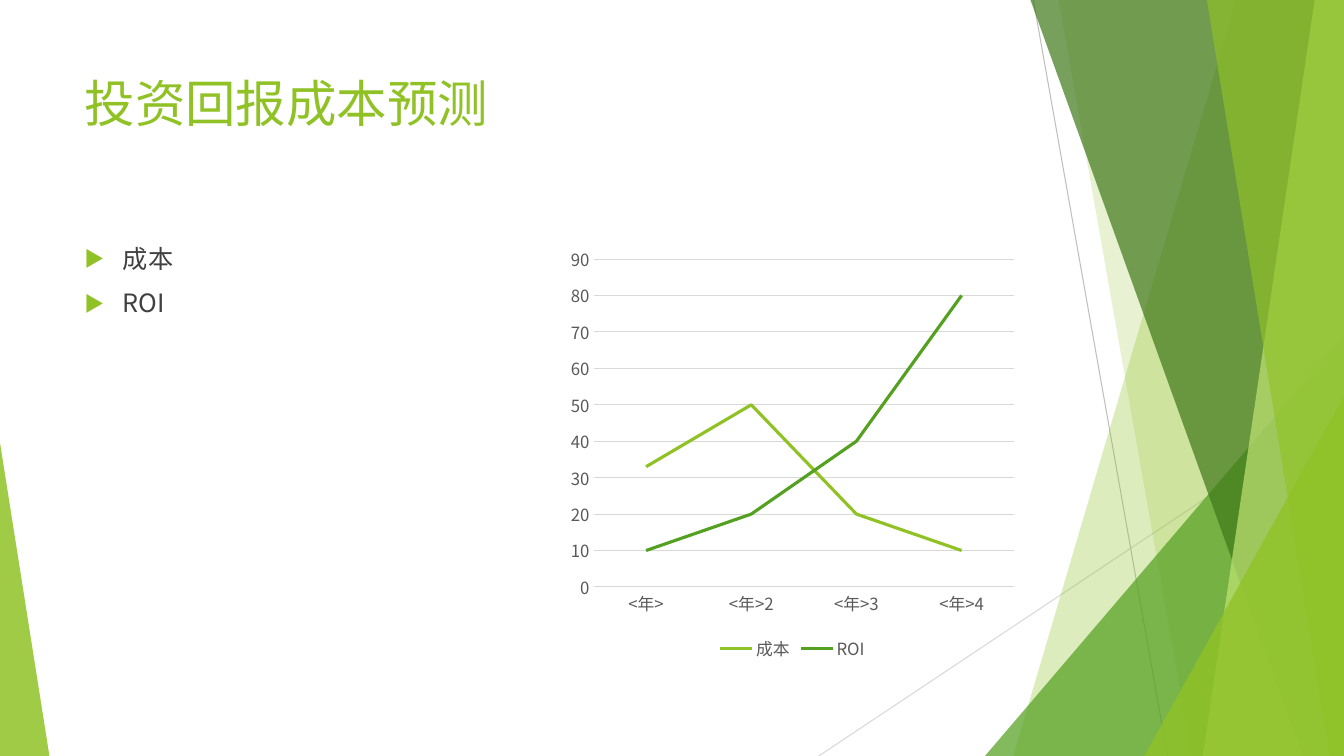
from dataclasses import dataclass

from lxml.etree import SubElement
from pptx import Presentation
from pptx.chart.data import CategoryChartData
from pptx.dml.color import RGBColor
from pptx.enum.chart import XL_CHART_TYPE, XL_LEGEND_POSITION, XL_MARKER_STYLE, XL_TICK_MARK
from pptx.enum.shapes import MSO_CONNECTOR
from pptx.enum.text import MSO_ANCHOR, MSO_AUTO_SIZE, PP_ALIGN
from pptx.oxml.ns import qn
from pptx.util import Inches, Pt


@dataclass(frozen=True)
class Theme:
    """Colours, type sizes and font of the slide."""
    lime: str = "90C226"
    green: str = "54A021"
    dark: str = "3F7819"
    pale: str = "C0E474"
    ink: str = "404040"
    label: str = "595959"
    grid: str = "D9D9D9"
    rule: str = "BFBFBF"
    font: str = "Noto Sans CJK SC"
    title: int = 36
    body: int = 18
    small: int = 12


THEME = Theme()
WIDE, HIGH = Inches(13.33), Inches(7.5)

# Places are percent of the slide's width and height.
TITLE_BOX = (5.55, 8.93, 70.52, 19.2)
LIST_BOX = (5.55, 31.47, 34.36, 56.53)
CHART_BOX = (41.79, 31.47, 34.36, 56.53)
RULES = [
    ((60.92, 100), (100, 53.73), THEME.grid),
    ((76.89, 0), (86.87, 100), THEME.rule),
]
FACETS = [
    ([(91.97, 0), (75.39, 100), (100, 100), (100, 0)], THEME.lime, 30),
    ([(78.77, 0), (88.67, 100), (100, 100), (100, 0)], THEME.lime, 20),
    ([(73.29, 100), (100, 44.4), (100, 100)], THEME.green, 72),
    ([(76.67, 0), (96.92, 100), (100, 100), (100, 0)], THEME.dark, 70),
    ([(97.82, 0), (89.5, 100), (100, 100), (100, 0)], THEME.pale, 70),
    ([(89.8, 0), (98.95, 100), (100, 100), (100, 0)], THEME.lime, 65),
    ([(85.15, 100), (100, 52.4), (100, 100)], THEME.lime, 80),
    ([(0, 58.53), (3.68, 100), (0, 100)], THEME.lime, 85),
]
YEARS = ["<年>", "<年>2", "<年>3", "<年>4"]
SERIES = [
    ("成本", [33, 50, 20, 10], THEME.lime),
    ("ROI", [10, 20, 40, 80], THEME.green),
]


def spot(x, y):
    """Turn percent of the slide into a point."""
    return round(WIDE * x / 100), round(HIGH * y / 100)


def place(shape, box):
    """Move and size a shape to a percent box."""
    shape.left, shape.top = spot(*box[:2])
    shape.width, shape.height = spot(*box[2:])


def style(font, size, color):
    """Set face, size and colour of a font."""
    font.name, font.size = THEME.font, Pt(size)
    font.color.rgb = RGBColor.from_string(color)


def write(para, text, size, color, before=0):
    """Write one left-aligned run of text with its format."""
    para.alignment = PP_ALIGN.LEFT
    para.space_before = Pt(before)
    run = para.add_run()
    run.text = text
    style(run.font, size, color)
    SubElement(run.font._element, qn("a:ea"), typeface=THEME.font)


def bullet(para):
    """Give a paragraph a hanging lime arrow."""
    props = para._p.get_or_add_pPr()
    props.set("marL", str(Inches(0.38)))
    props.set("indent", str(-Inches(0.38)))
    tint = SubElement(props, qn("a:buClr"))
    SubElement(tint, qn("a:srgbClr"), val=THEME.lime)
    SubElement(props, qn("a:buSzPct"), val="80000")
    SubElement(props, qn("a:buFont"), typeface=THEME.font)
    SubElement(props, qn("a:buChar"), char="▶")


def frame(holder, box):
    """Place a placeholder and return its top-set text frame."""
    place(holder, box)
    text = holder.text_frame
    text.word_wrap = True
    text.auto_size = MSO_AUTO_SIZE.NONE
    text.vertical_anchor = MSO_ANCHOR.TOP
    return text


def points(holder, box, items):
    """Fill the body placeholder with a bulleted list."""
    text = frame(holder, box)
    for i, item in enumerate(items):
        para = text.add_paragraph() if i else text.paragraphs[0]
        write(para, item, THEME.body, THEME.ink, before=10)
        bullet(para)


def stroke(line, color, width):
    """Set colour and width of a line."""
    line.color.rgb = RGBColor.from_string(color)
    line.width = Pt(width)


def rule(slide, start, end, color):
    """Draw a thin straight line."""
    line = slide.shapes.add_connector(MSO_CONNECTOR.STRAIGHT, *spot(*start), *spot(*end))
    stroke(line.line, color, 0.75)
    SubElement(line._element.spPr, qn("a:effectLst"))


def facet(slide, corners, color, alpha):
    """Draw a see-through polygon; alpha is percent."""
    first, *rest = [spot(*corner) for corner in corners]
    build = slide.shapes.build_freeform(*first)
    build.add_line_segments(rest, close=True)
    shape = build.convert_to_shape()
    shape.shadow.inherit = False
    shape.line.fill.background()
    shape.fill.solid()
    shape.fill.fore_color.rgb = RGBColor.from_string(color)
    tint = shape._element.spPr.find(".//" + qn("a:srgbClr"))
    SubElement(tint, qn("a:alpha"), val=str(alpha * 1000))


def graph(slide, box):
    """Add the line chart of cost and return."""
    data = CategoryChartData()
    data.categories = YEARS
    for name, vals, _ in SERIES:
        data.add_series(name, vals)
    chart = slide.shapes.add_chart(
        XL_CHART_TYPE.LINE, *spot(*box[:2]), *spot(*box[2:]), data).chart
    style(chart.font, THEME.small, THEME.label)
    chart.has_title = False
    chart.has_legend = True
    chart.legend.position = XL_LEGEND_POSITION.BOTTOM
    chart.legend.include_in_layout = False
    style(chart.legend.font, THEME.small, THEME.label)
    for axis in (chart.category_axis, chart.value_axis):
        axis.major_tick_mark = axis.minor_tick_mark = XL_TICK_MARK.NONE
        style(axis.tick_labels.font, THEME.small, THEME.label)
    stroke(chart.category_axis.format.line, THEME.grid, 0.75)
    chart.value_axis.format.line.fill.background()
    stroke(chart.value_axis.major_gridlines.format.line, THEME.grid, 0.75)
    chart.plots[0].vary_by_categories = False
    for line, (_, _, color) in zip(chart.plots[0].series, SERIES):
        line.smooth = False
        line.marker.style = XL_MARKER_STYLE.NONE
        stroke(line.format.line, color, 2.25)


def main():
    """Build and save the slide."""
    deck = Presentation()
    deck.slide_width, deck.slide_height = WIDE, HIGH
    slide = deck.slides.add_slide(deck.slide_layouts[1])
    title, body = slide.placeholders
    for start, end, color in RULES:
        rule(slide, start, end, color)
    for corners, color, alpha in FACETS:
        facet(slide, corners, color, alpha)
    head = frame(title, TITLE_BOX)
    write(head.paragraphs[0], "投资回报成本预测", THEME.title, THEME.lime)
    points(body, LIST_BOX, [name for name, _, _ in SERIES])
    graph(slide, CHART_BOX)
    deck.save("out.pptx")


if __name__ == "__main__":
    main()
